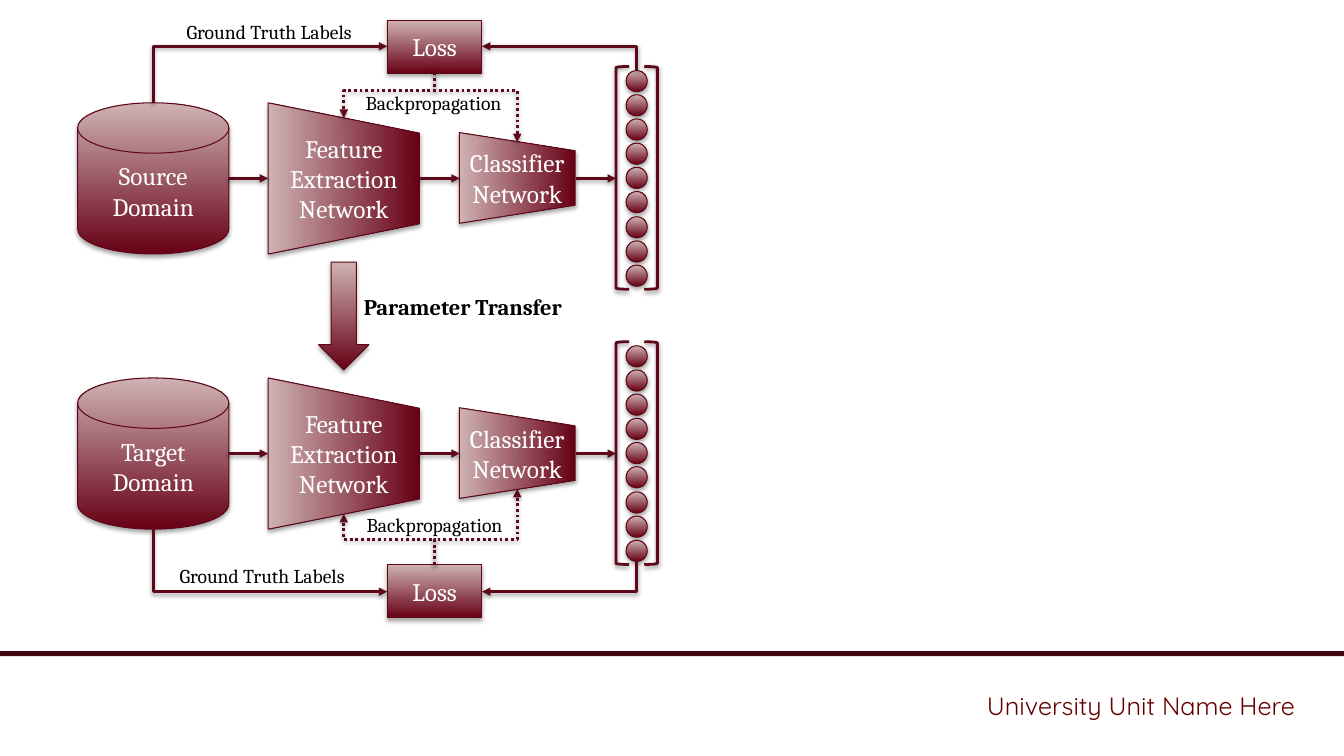
import pptx
import pptx.util
import pptx.dml.color
import pptx.enum.dml
import pptx.enum.shapes
import pptx.enum.text
import pptx.oxml
import pptx.oxml.ns
from lxml import etree

PX = 9144
HUES = {"dark": "670015", "light": "CFB3B4", "edge": "5E0718", "wire": "5E091A",
        "bar": "410611", "unit": "660000", "white": "FFFFFF", "black": "000000"}
KIND = pptx.enum.shapes.MSO_SHAPE
LINK = pptx.enum.shapes.MSO_CONNECTOR
ALIGN = pptx.enum.text.PP_ALIGN
qn = pptx.oxml.ns.qn
rgb = {name: pptx.dml.color.RGBColor.from_string(hue) for name, hue in HUES.items()}


def write(frame, text, size=18, hue="white", face="Cambria", bold=False, align=ALIGN.CENTER):
    frame.word_wrap = True
    para = frame.paragraphs[0]
    para.alignment = align
    run = para.add_run()
    run.text = text
    run.font.size = pptx.util.Pt(size)
    run.font.name = face
    run.font.bold = bold
    run.font.color.rgb = rgb[hue]


def style(shape, wire=False):
    """Give a wire its line, or a solid its gradient and edge, then a soft shadow."""
    shape.line.color.rgb = rgb["wire" if wire else "edge"]
    shape.line.width = pptx.util.Pt(2 if wire else 0.75)
    if not wire:
        shape.fill.gradient()
        shape.fill.gradient_angle = 90
        for stop, hue, place in zip(shape.fill.gradient_stops, ("dark", "light"), (0, 1)):
            stop.color.rgb = rgb[hue]
            stop.position = place
    dist, alpha = (20000, 38000) if wire else (23000, 35000)
    shape._element.spPr.append(pptx.oxml.parse_xml(
        f'<a:effectLst {pptx.oxml.ns.nsdecls("a")}>'
        f'<a:outerShdw blurRad="40000" dist="{dist}" dir="5400000" rotWithShape="0">'
        f'<a:srgbClr val="{HUES["black"]}"><a:alpha val="{alpha}"/></a:srgbClr>'
        '</a:outerShdw></a:effectLst>'))


deck = pptx.Presentation()
deck.slide_width, deck.slide_height = 1333 * PX, 750 * PX
shapes = deck.slides.add_slide(deck.slide_layouts[6]).shapes

bar = shapes.add_shape(KIND.RECTANGLE, 0, 646 * PX, 1333 * PX, 5 * PX)
bar.shadow.inherit = False
bar.fill.solid()
bar.fill.fore_color.rgb = rgb["bar"]
bar.line.fill.background()

# Solids: kind, left, top, width, height, turn, text
solids = [(KIND.DOWN_ARROW, 316, 260, 50, 107, 0, "")]
wires = []
for domain, top, loss in (("Source Domain", 102, 20), ("Target Domain", 375, 560)):
    mid = top + 75
    solids += [
        (KIND.FLOWCHART_MANUAL_OPERATION, 266, top, 150, 150, 270, "Feature Extraction Network"),
        (KIND.FLOWCHART_MAGNETIC_DISK, 77, top, 150, 150, 0, domain),
        (KIND.FLOWCHART_MANUAL_OPERATION, 468, top + 17, 90, 115, 270, "Classifier Network"),
        (KIND.RECTANGLE, 384, loss, 94, 53, 0, "Loss"),
    ]
    # Wires: start x, y, end x, y, height of the middle run
    wires += [(left, mid, left + 40, mid, None) for left in (226, 416, 571)]

    output = shapes.add_group_shape().shapes
    for kind, left in ((KIND.LEFT_BRACKET, 611), (KIND.RIGHT_BRACKET, 639)):
        bracket = output.add_shape(kind, left * PX, (top - 36) * PX, 13 * PX, 221 * PX)
        bracket.fill.background()
        style(bracket, wire=True)
    for i in range(9):
        node = output.add_shape(KIND.OVAL, 621 * PX, (top - 32 + round(24.1 * i)) * PX,
                                21 * PX, 21 * PX)
        style(node)

for kind, left, top, width, height, turn, text in solids:
    solid = shapes.add_shape(kind, left * PX, top * PX, width * PX, height * PX)
    solid.rotation = turn
    style(solid)
    if text:
        write(solid.text_frame, text)
    if turn:
        solid.text_frame._txBody.bodyPr.set("vert", "vert")

wires += [
    (152, 102, 384, 46, None), (631, 70, 478, 46, None),
    (431, 72, 341, 117, 90), (431, 72, 513, 141, 90),
    (152, 525, 384, 587, None), (631, 556, 478, 587, None),
    (431, 560, 341, 510, 535), (431, 560, 513, 485, 535),
]
for x1, y1, x2, y2, bend in wires:
    if y1 == y2:
        wire = shapes.add_connector(LINK.STRAIGHT, x1 * PX, y1 * PX, x2 * PX, y2 * PX)
    else:
        # An elbow that leaves vertically is a flat elbow turned a quarter about its centre
        right, up = x2 > x1, y2 < y1
        midx, midy = (x1 + x2) * PX // 2, (y1 + y2) * PX // 2
        dx = abs(y2 - y1) * PX // 2 * (-1 if right else 1)
        dy = abs(x2 - x1) * PX // 2 * (-1 if up else 1)
        wire = shapes.add_connector(LINK.ELBOW, midx - dx, midy - dy, midx + dx, midy + dy)
        wire._element.spPr.find(qn("a:xfrm")).set("rot", str((90 if right == up else 270) * 60000))
        geom = wire._element.spPr.find(qn("a:prstGeom"))
        if bend is None:
            geom.set("prst", "bentConnector2")
        else:
            share = round((bend - y1) / (y2 - y1) * 100000)
            etree.SubElement(geom.find(qn("a:avLst")), qn("a:gd"), name="adj1", fmla=f"val {share}")
            wire.line.dash_style = pptx.enum.dml.MSO_LINE.ROUND_DOT
    style(wire, wire=True)
    etree.SubElement(wire._element.spPr.find(qn("a:ln")), qn("a:tailEnd"), type="triangle")

label = {"size": 14, "hue": "black"}
for text, left, top, width, height, form in (
    ("Ground Truth Labels", 160, 15, 214, 34, label),
    ("Backpropagation", 323, 85, 214, 34, label),
    ("Ground Truth Labels", 153, 555, 214, 34, label),
    ("Backpropagation", 324, 504, 214, 34, label),
    ("Parameter Transfer", 351, 286, 225, 37,
     {"size": 16, "hue": "black", "bold": True, "align": ALIGN.LEFT}),
    ("University Unit Name Here", 789, 680, 505, 40,
     {"hue": "unit", "face": "Quicksand", "align": ALIGN.RIGHT}),
):
    box = shapes.add_textbox(left * PX, top * PX, width * PX, height * PX)
    box.text_frame.auto_size = pptx.enum.text.MSO_AUTO_SIZE.SHAPE_TO_FIT_TEXT
    write(box.text_frame, text, **form)

deck.save("out.pptx")
